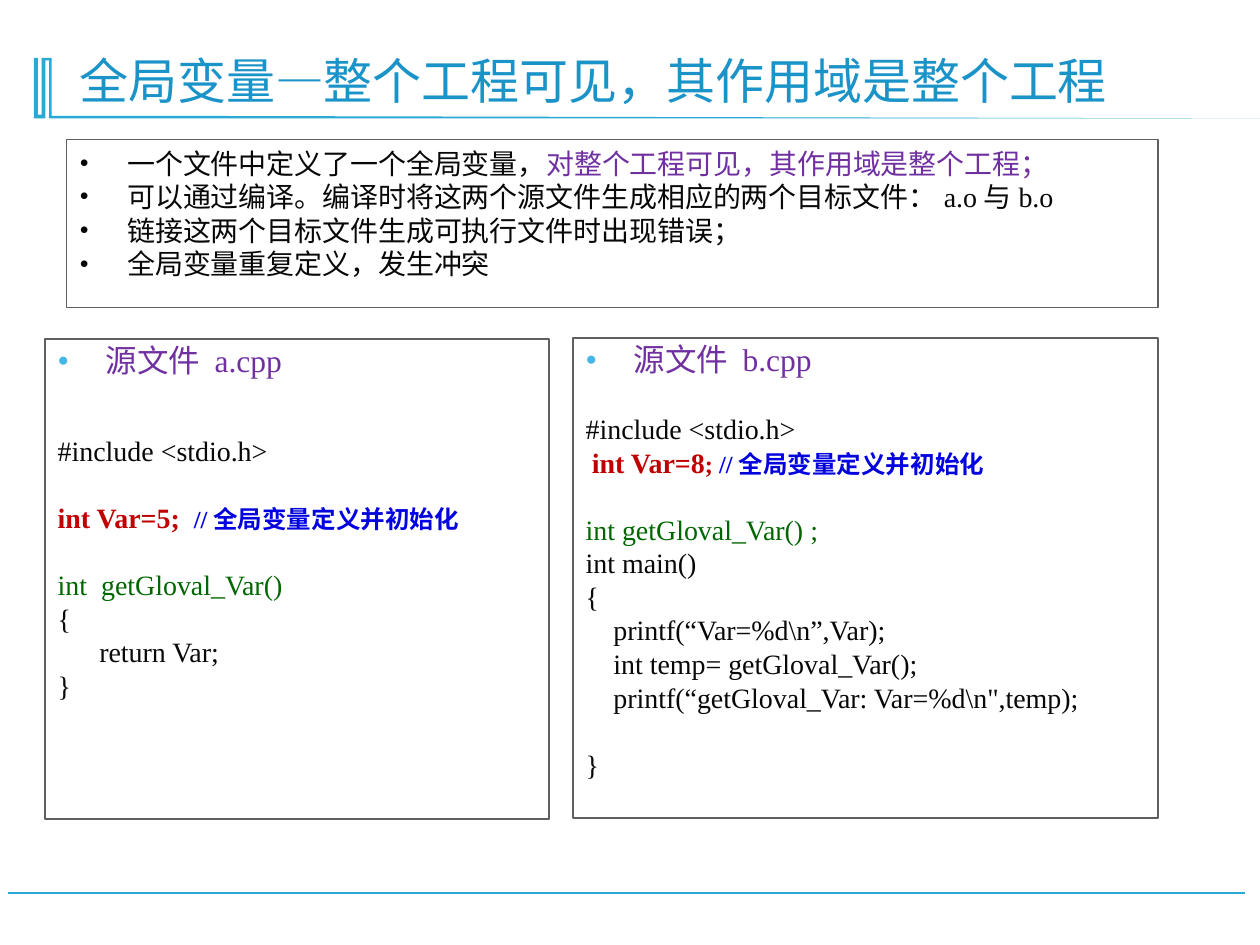
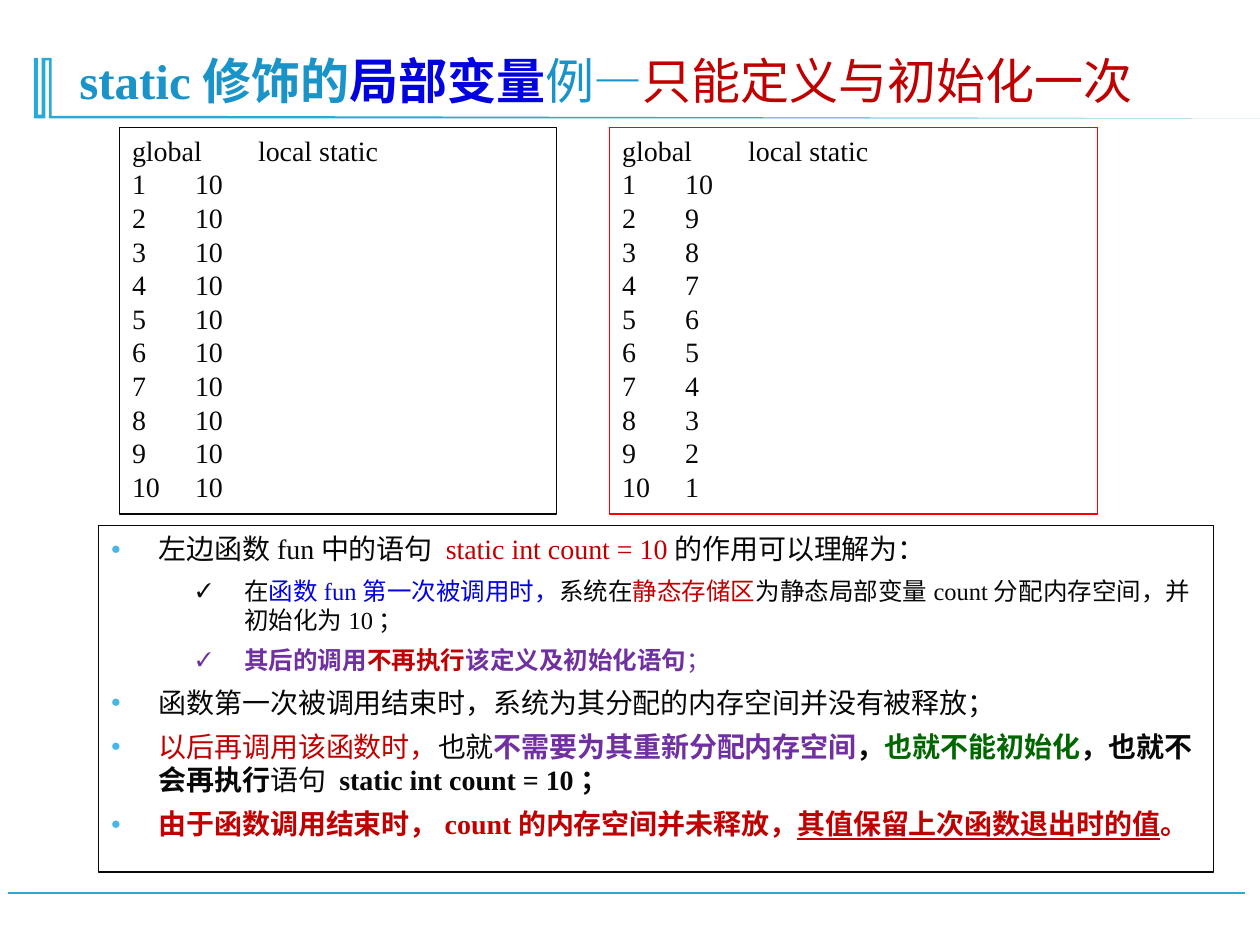
"""Build two lesson slides on global variables and static local variables."""
from dataclasses import dataclass

from lxml import etree
from pptx import Presentation, util as u
from pptx.dml.color import RGBColor
from pptx.enum import shapes, text
from pptx.oxml import ns

COLOURS = {
    "band": "28A9D6", "title": "1A93C8", "ink": "080808", "white": "FFFFFF",
    "purple": "7030A0", "crimson": "C00000", "blue": "0303DF",
    "green": "006600", "grey": "5F5F5F", "red": "FF0000", "dot": "47B6E7",
}
FONT = "Times New Roman"
BLANK_LINE = 19.2
BAND_OUTLINE = [
    (41, 46), (41, 92), (140, 92), (1000, 94), (39, 94), (39, 48), (36, 48),
    (36, 94), (27, 94), (27, 46), (30, 46), (30, 91), (33, 91), (33, 46),
]
BULLETS = {
    "plain": ("•", None, 100),
    "dot": ("●", "dot", 60),
    "check": ("✓", None, 80),
}


@dataclass
class Run:
    """A stretch of text in one style."""
    words: str
    colour: str = "ink"
    bold: bool = False
    size: float = 0
    underline: bool = False


@dataclass
class Para:
    """A paragraph with its runs, spacing, indent, bullet and tab stop."""
    runs: list
    size: float = 16
    gap: float = 0
    indent: float = 0
    bullet: str = ""
    spacing: float = 1
    level: int = 0
    tab: float = 0


class Deck:
    """Holds the shared style and the slide being built."""

    def __init__(self):
        """Start an empty 10 by 7.5 inch presentation."""
        self.prs = Presentation()
        self.prs.slide_width, self.prs.slide_height = u.Inches(10), u.Inches(7.5)
        self.slide = None

    def colour(self, name):
        """Return the named colour."""
        return RGBColor.from_string(COLOURS[name])

    def new_slide(self, title_runs):
        """Add a slide with its title, band and footer rule."""
        self.slide = self.prs.slides.add_slide(self.prs.slide_layouts[1])
        self.band()
        self.rule((9.88, 7.09), (0.06, 7.09))
        title = self.slide.shapes.title
        self.place(title, (0.53, 0.28, 8.85, 0.64))
        self.set_text(title, [Para(title_runs, size=28, spacing=0.9)],
                      text.MSO_ANCHOR.BOTTOM)

    def band(self):
        """Draw the bracket and tapering line beside the title."""
        start, *rest = BAND_OUTLINE
        builder = self.slide.shapes.build_freeform(*start, scale=u.Inches(0.01))
        builder.add_line_segments(rest, close=True)
        band = builder.convert_to_shape()
        band.shadow.inherit = False
        band.fill.solid()
        band.fill.fore_color.rgb = self.colour("band")
        band.line.fill.background()

    def rule(self, start, end):
        """Draw a straight line between two points."""
        rule = self.slide.shapes.add_connector(
            shapes.MSO_CONNECTOR.STRAIGHT, *map(u.Inches, start + end))
        rule.line.color.rgb = self.colour("band")
        rule.line.width = u.Pt(1.25)
        etree.SubElement(rule._element.spPr, ns.qn("a:effectLst"))

    def place(self, shape, area):
        """Move a shape to left, top, width and height in inches."""
        shape.left, shape.top, shape.width, shape.height = map(u.Inches, area)

    def outline(self, shape, colour, width):
        """Give a shape its border."""
        shape.line.color.rgb = self.colour(colour)
        shape.line.width = u.Pt(width)

    def list_box(self, area, border, paras):
        """Fill the body placeholder with a framed list."""
        body = self.slide.placeholders[1]
        self.place(body, area)
        self.outline(body, border, 0.75)
        self.set_text(body, paras)

    def panel(self, area, border, paras, width=0.75, fill=None):
        """Add a framed rectangle with text."""
        panel = self.slide.shapes.add_shape(
            shapes.MSO_SHAPE.RECTANGLE, *map(u.Inches, area))
        panel.shadow.inherit = False
        if fill:
            panel.fill.solid()
            panel.fill.fore_color.rgb = self.colour(fill)
        else:
            panel.fill.background()
        self.outline(panel, border, width)
        self.set_text(panel, paras)

    def set_text(self, shape, paras, anchor=text.MSO_ANCHOR.TOP):
        """Put paragraphs into a shape."""
        frame = shape.text_frame
        frame.word_wrap = True
        frame.auto_size = text.MSO_AUTO_SIZE.NONE
        frame.vertical_anchor = anchor
        for index, para in enumerate(paras):
            line = frame.add_paragraph() if index else frame.paragraphs[0]
            self.set_layout(line, para)
            for part in para.runs:
                run = line.add_run()
                run.text = part.words
                run.font.name = FONT
                run.font.size = u.Pt(part.size or para.size)
                run.font.bold = part.bold
                run.font.underline = part.underline
                run.font.color.rgb = self.colour(part.colour)

    def set_layout(self, line, para):
        """Set spacing, indent, bullet and tab stop of a paragraph."""
        line.alignment = text.PP_ALIGN.LEFT
        line.level = para.level
        line.line_spacing = para.spacing
        line.space_before = u.Pt(para.gap)
        line.space_after = u.Pt(0)
        props = line._p.get_or_add_pPr()
        props.set("marL", str(u.Inches(para.indent)))
        props.set("indent", str(u.Inches(-0.38 if para.bullet else 0)))
        if para.bullet:
            mark, colour, percent = BULLETS[para.bullet]
            if colour:
                holder = etree.SubElement(props, ns.qn("a:buClr"))
                etree.SubElement(holder, ns.qn("a:srgbClr"), val=COLOURS[colour])
            etree.SubElement(props, ns.qn("a:buSzPct"), val=str(percent * 1000))
            etree.SubElement(props, ns.qn("a:buFont"), typeface=FONT)
            etree.SubElement(props, ns.qn("a:buChar"), char=mark)
        else:
            etree.SubElement(props, ns.qn("a:buNone"))
        if para.tab:
            stops = etree.SubElement(props, ns.qn("a:tabLst"))
            etree.SubElement(stops, ns.qn("a:tab"),
                             pos=str(u.Inches(para.tab)), algn="l")


def code(words, colour="ink", **layout):
    """Return a line of code in one colour."""
    return Para([Run(words, colour)], **layout)


def heading(words):
    """Return the heading of a source file."""
    return code(words, "purple", size=18, indent=0.38, bullet="dot", spacing=0.9)


def plain_item(*runs):
    """Return an item of the introductory list."""
    return Para(list(runs), indent=0.38, bullet="plain")


def point(*runs):
    """Return a main point."""
    return Para(list(runs), gap=6, indent=0.38, bullet="dot")


def subpoint(*runs):
    """Return a ticked point below a main one."""
    return Para(list(runs), size=14, gap=6, indent=1.06, bullet="check", level=1)


def output_rows(static_values):
    """Return the printed columns of counter and static value."""
    rows = [("global", "local static"), *enumerate(static_values, 1)]
    return [code(f"{counter}\t{value}", tab=1.11) for counter, value in rows]


def global_variable_slide(deck):
    """Build the slide on global variables."""
    deck.new_slide([Run("全局变量—整个工程可见，其作用域是整个工程", "title")])
    deck.list_box((0.53, 1.11, 8.66, 1.33), "grey", [
        plain_item(Run("一个文件中定义了一个全局变量，"),
                   Run("对整个工程可见，其作用域是整个工程；", "purple")),
        plain_item(Run("可以通过编译。编译时将这两个源文件生成相应的两个目标文件：a.o与b.o")),
        plain_item(Run("链接这两个目标文件生成可执行文件时出现错误；")),
        plain_item(Run("全局变量重复定义，发生冲突")),
    ])
    remark = Run("//全局变量定义并初始化", "blue", True, 14)
    deck.panel((4.55, 2.68, 4.64, 3.81), "grey", [
        heading("源文件 b.cpp"),
        code("#include <stdio.h>", gap=BLANK_LINE),
        Para([Run("int Var=8", "crimson", True),
              Run("; ", "crimson", True, 14), remark], indent=0.05),
        code("int getGloval_Var() ;", "green", gap=BLANK_LINE),
        code("int main()"),
        code("{"),
        code("printf(“Var=%d\\n”,Var);", indent=0.22),
        code("int temp= getGloval_Var();", indent=0.22),
        code("printf(“getGloval_Var: Var=%d\\n\",temp);", indent=0.22),
        code("}", gap=BLANK_LINE),
    ], width=1, fill="white")
    deck.panel((0.36, 2.69, 4, 3.81), "grey", [
        heading("源文件 a.cpp"),
        code("#include <stdio.h>", gap=31),
        Para([Run("int Var=5;  ", "crimson", True), remark], gap=BLANK_LINE),
        code("int  getGloval_Var()", "green", gap=BLANK_LINE),
        code("{"),
        code("return Var;", indent=0.33),
        code("}"),
    ], width=1, fill="white")


def static_variable_slide(deck):
    """Build the slide on static local variables."""
    deck.new_slide([
        Run("static修饰的", "title", True), Run("局部变量", "blue", True),
        Run("例—", "title"), Run("只能定义与初始化一次", "crimson"),
    ])
    deck.panel((0.95, 1.01, 3.47, 3.07), "ink", output_rows([10] * 10))
    deck.panel((4.84, 1.01, 3.87, 3.07), "red", output_rows(range(10, 0, -1)))
    deck.list_box((0.78, 4.17, 8.85, 2.75), "ink", [
        point(Run("左边函数fun中的语句 "), Run("static int count = 10", "crimson"),
              Run("的作用可以理解为：")),
        subpoint(Run("在"), Run("函数fun第一次被调用时，", "blue"), Run("系统在"),
                 Run("静态存储区", "crimson"),
                 Run("为静态局部变量count分配内存空间，并初始化为10；")),
        subpoint(Run("其后的调用", "purple", True), Run("不再执行", "crimson", True),
                 Run("该定义及初始化语句", "purple", True), Run("；", "purple")),
        point(Run("函数第一次被调用结束时，系统为其分配的内存空间并没有被释放；")),
        point(Run("以后再调用该函数时，", "crimson"), Run("也就"),
              Run("不需要为其重新分配内存空间", "purple", True), Run("，", bold=True),
              Run("也就不能初始化", "green", True),
              Run("，也就不会再执行", bold=True), Run("语句 "),
              Run("static int count = 10；", bold=True)),
        point(Run("由于函数调用结束时，count的内存空间并未释放，", "crimson", True),
              Run("其值保留上次函数退出时的值", "crimson", True, underline=True),
              Run("。", "crimson", True)),
    ])


def main():
    """Build and save the slides."""
    deck = Deck()
    global_variable_slide(deck)
    static_variable_slide(deck)
    deck.prs.save("out.pptx")


if __name__ == "__main__":
    main()
